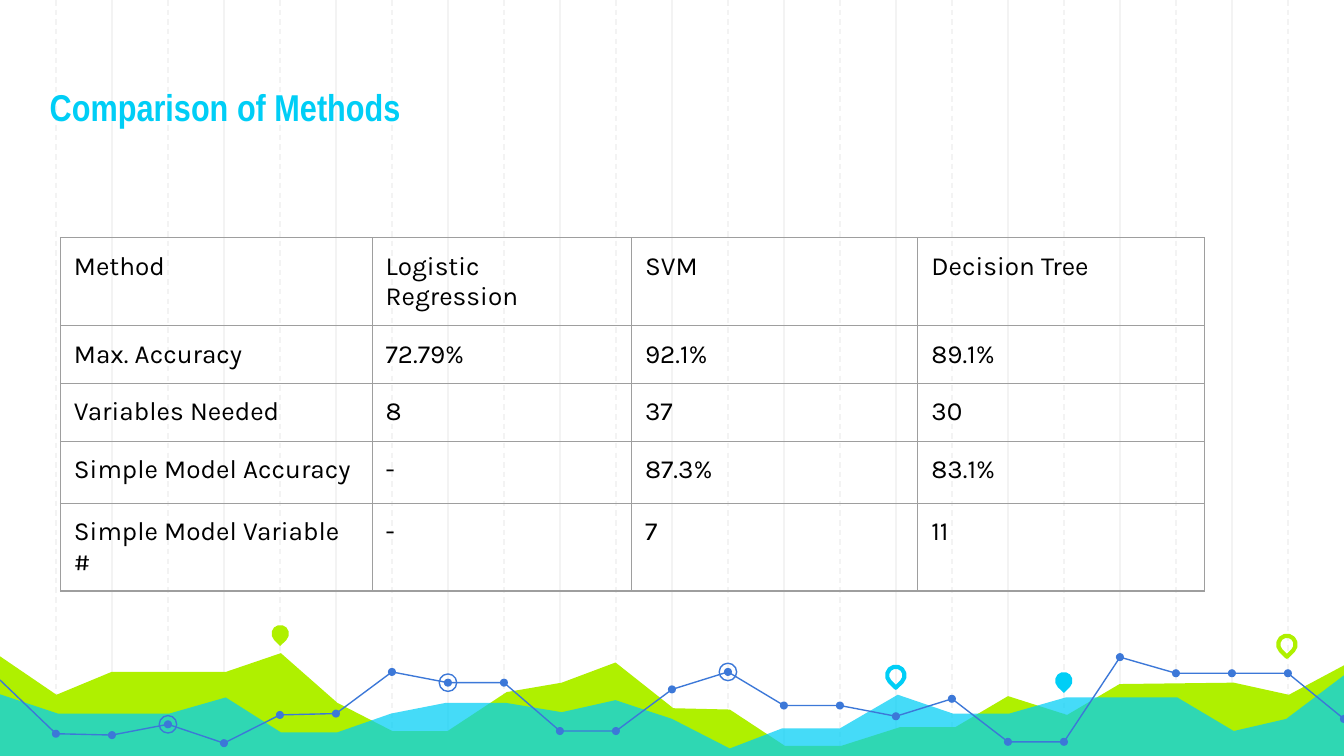
"""Build the slide that compares three classification methods."""
from lxml.etree import SubElement
from pptx import Presentation
from pptx.dml.color import RGBColor
from pptx.enum.dml import MSO_LINE
from pptx.enum.shapes import MSO_CONNECTOR, MSO_SHAPE
from pptx.enum.text import MSO_ANCHOR, PP_ALIGN
from pptx.oxml import parse_xml
from pptx.oxml.ns import nsdecls, qn
from pptx.util import Inches, Pt

GREEN, CYAN, BLUE = "AFF000", "00CEF6", "3C78D8"
GRID_GRAY, BORDER_GRAY, BLACK = "F3F3F3", "9E9E9E", "000000"
SLIDE_WIDTH = 10
SLIDE_HEIGHT = SLIDE_WIDTH * 9 / 16
STEP = SLIDE_WIDTH / 24

GREEN_AREA = [
    (-0.02, 4.87), (0.42, 5.17), (0.83, 5), (1.68, 5), (2.09, 4.86), (2.51, 5.23),
    (2.92, 5.44), (3.33, 5.44), (3.77, 5.15), (4.18, 5.08), (4.58, 4.93), (5.01, 5.27),
    (5.43, 5.28), (5.84, 5.55), (6.26, 5.55), (6.7, 5.41), (7.11, 5.41), (7.5, 5.18),
    (7.94, 5.32), (8.33, 5.09), (9.18, 5.08), (9.59, 5.17), (10.02, 4.94),
    (10.01, 5.64), (-0.03, 5.64),
]
CYAN_AREA = [
    (-0.02, 5.16), (0.43, 5.31), (1.26, 5.31), (1.68, 5.19), (2.09, 5.45), (2.51, 5.45),
    (2.91, 5.31), (3.32, 5.23), (3.76, 5.23), (4.18, 5.3), (4.58, 5.21), (5, 5.35),
    (5.43, 5.57), (5.82, 5.42), (6.25, 5.42), (6.68, 5.17), (7.09, 5.31), (7.51, 5.31),
    (7.93, 5.19), (8.76, 5.19), (9.18, 5.44), (9.57, 5.35), (10.02, 5.01),
    (10.02, 5.65), (-0.03, 5.65),
]
TREND_HEIGHTS = [
    5.06, 5.46, 5.47, 5.39, 5.53, 5.32, 5.31, 5, 5.08, 5.08, 5.44, 5.44, 5.13,
    5, 5.25, 5.25, 5.33, 5.2, 5.52, 5.52, 4.89, 5.01, 5.01, 5.01, 5.35,
]
TREND_POINTS = [(index * STEP, height) for index, height in enumerate(TREND_HEIGHTS)]
TREND_PARTS = [(0, 11), (11, 20), (20, 24)]
RINGED_POINTS = [3, 8, 13]
PINS = [
    (2.02, 4.65, GREEN, True), (6.6, 4.96, CYAN, False),
    (7.85, 5, CYAN, True), (9.51, 4.73, GREEN, False),
]
COLUMN_WIDTHS = [2.32, 1.93, 2.13, 2.13]
ROW_HEIGHTS = [0.43, 0.43, 0.43, 0.46, 0.42]
COMPARISON = [
    ["Method", "Logistic Regression", "SVM", "Decision Tree"],
    ["Max. Accuracy", "72.79%", "92.1%", "89.1%"],
    ["Variables Needed", "8", "37", "30"],
    ["Simple Model Accuracy", "-", "87.3%", "83.1%"],
    ["Simple Model Variable #", "-", "7", "11"],
]


def color(value):
    """Turn a hex string into a colour."""
    return RGBColor.from_string(value)


def style_shape(shape, fill=None, line=None, width=0.75):
    """Set a shape's fill and outline and remove its shadow."""
    shape.shadow.inherit = False
    if fill:
        shape.fill.solid()
        shape.fill.fore_color.rgb = color(fill)
    else:
        shape.fill.background()
    if line:
        shape.line.color.rgb = color(line)
        shape.line.width = Pt(width)
    else:
        shape.line.fill.background()


def add_grid_line(slide, index):
    """Draw one vertical grid line, dashed at odd positions."""
    x = Inches(index * STEP)
    line = slide.shapes.add_connector(MSO_CONNECTOR.STRAIGHT, x, 0, x, Inches(5.65))
    line.line.color.rgb = color(GRID_GRAY)
    line.line.width = Pt(0.75)
    if index % 2:
        line.line.dash_style = MSO_LINE.DASH
    SubElement(line._element.spPr, qn("a:effectLst"))


def add_outline(slide, points, closed):
    """Draw a freeform through points given in inches."""
    corners = [(Inches(x), Inches(y)) for x, y in points]
    builder = slide.shapes.build_freeform(*corners[0])
    builder.add_line_segments(corners[1:], close=closed)
    return builder.convert_to_shape()


def add_area(slide, points, fill, opacity=100):
    """Draw a filled area with the given opacity in percent."""
    area = add_outline(slide, points, True)
    style_shape(area, fill)
    if opacity < 100:
        fill_color = area._element.spPr.find(qn("a:solidFill"))[0]
        SubElement(fill_color, qn("a:alpha"), val=str(opacity * 1000))


def add_pin(slide, left, top, hue, solid):
    """Draw a map pin, solid or outlined."""
    size = Inches(0.13)
    pin = slide.shapes.add_shape(MSO_SHAPE.TEAR, Inches(left), Inches(top), size, size)
    pin.adjustments[0] = 1
    pin.rotation = 135
    style_shape(pin, hue if solid else None, None if solid else hue, 2.25)


def add_circle(slide, center, diameter, fill=None, line=None):
    """Draw a circle around a centre point."""
    left, top = (Inches(value - diameter / 2) for value in center)
    size = Inches(diameter)
    circle = slide.shapes.add_shape(MSO_SHAPE.OVAL, left, top, size, size)
    style_shape(circle, fill, line)


def add_trend(slide):
    """Draw the trend line with its dots and rings."""
    for first, last in TREND_PARTS:
        part = add_outline(slide, TREND_POINTS[first:last + 1], False)
        style_shape(part, line=BLUE)
    for point in TREND_POINTS[1:]:
        add_circle(slide, point, 0.06, fill=BLUE)
    for index in RINGED_POINTS:
        add_circle(slide, TREND_POINTS[index], 0.13, line=BLUE)


def add_run(paragraph, text, font_name, size, hue, bold=False):
    """Add one formatted run to a paragraph."""
    run = paragraph.add_run()
    run.text = text
    run.font.name = font_name
    run.font.size = Pt(size)
    run.font.bold = bold
    run.font.color.rgb = color(hue)


def set_margins(target):
    """Give a cell or text frame equal inner margins."""
    target.margin_left = target.margin_right = Inches(0.1)
    target.margin_top = target.margin_bottom = Inches(0.1)


def set_title(slide, text):
    """Place the title in front and fill it."""
    title = slide.shapes.title
    title.left, title.top = Inches(0.27), Inches(0.28)
    title.width, title.height = Inches(7.65), Inches(0.78)
    slide.shapes._spTree.append(title._element)
    frame = title.text_frame
    frame.vertical_anchor = MSO_ANCHOR.BOTTOM
    set_margins(frame)
    frame.paragraphs[0].alignment = PP_ALIGN.LEFT
    add_run(frame.paragraphs[0], text, "Arial Narrow", 20, CYAN, True)


def fill_cell(cell, text):
    """Write a cell's text and draw its borders."""
    set_margins(cell)
    cell.fill.background()
    for position, side in enumerate(("lnL", "lnR", "lnT", "lnB")):
        border = parse_xml(
            f'<a:{side} {nsdecls("a")} w="{Pt(0.75)}"><a:solidFill>'
            f'<a:srgbClr val="{BORDER_GRAY}"/></a:solidFill></a:{side}>'
        )
        cell._tc.get_or_add_tcPr().insert(position, border)
    add_run(cell.text_frame.paragraphs[0], text, "Karla", 14, BLACK)


def add_comparison_table(slide):
    """Add the table of methods."""
    frame = slide.shapes.add_table(
        len(ROW_HEIGHTS), len(COLUMN_WIDTHS), Inches(0.45), Inches(1.77),
        Inches(sum(COLUMN_WIDTHS)), Inches(sum(ROW_HEIGHTS)),
    )
    table = frame.table
    table.first_row = table.horz_banding = False
    for column, width in zip(table.columns, COLUMN_WIDTHS):
        column.width = Inches(width)
    for row, height, texts in zip(table.rows, ROW_HEIGHTS, COMPARISON):
        row.height = Inches(height)
        for cell, text in zip(row.cells, texts):
            fill_cell(cell, text)


def main():
    """Build and save the presentation."""
    presentation = Presentation()
    presentation.slide_width = Inches(SLIDE_WIDTH)
    presentation.slide_height = Inches(SLIDE_HEIGHT)
    slide = presentation.slides.add_slide(presentation.slide_layouts[5])
    for index in [*range(2, 24, 2), *range(1, 24, 2)]:
        add_grid_line(slide, index)
    add_area(slide, GREEN_AREA, GREEN)
    add_area(slide, CYAN_AREA, CYAN, 73)
    for pin in PINS:
        add_pin(slide, *pin)
    add_trend(slide)
    set_title(slide, "Comparison of Methods")
    add_comparison_table(slide)
    presentation.save("out.pptx")


if __name__ == "__main__":
    main()
